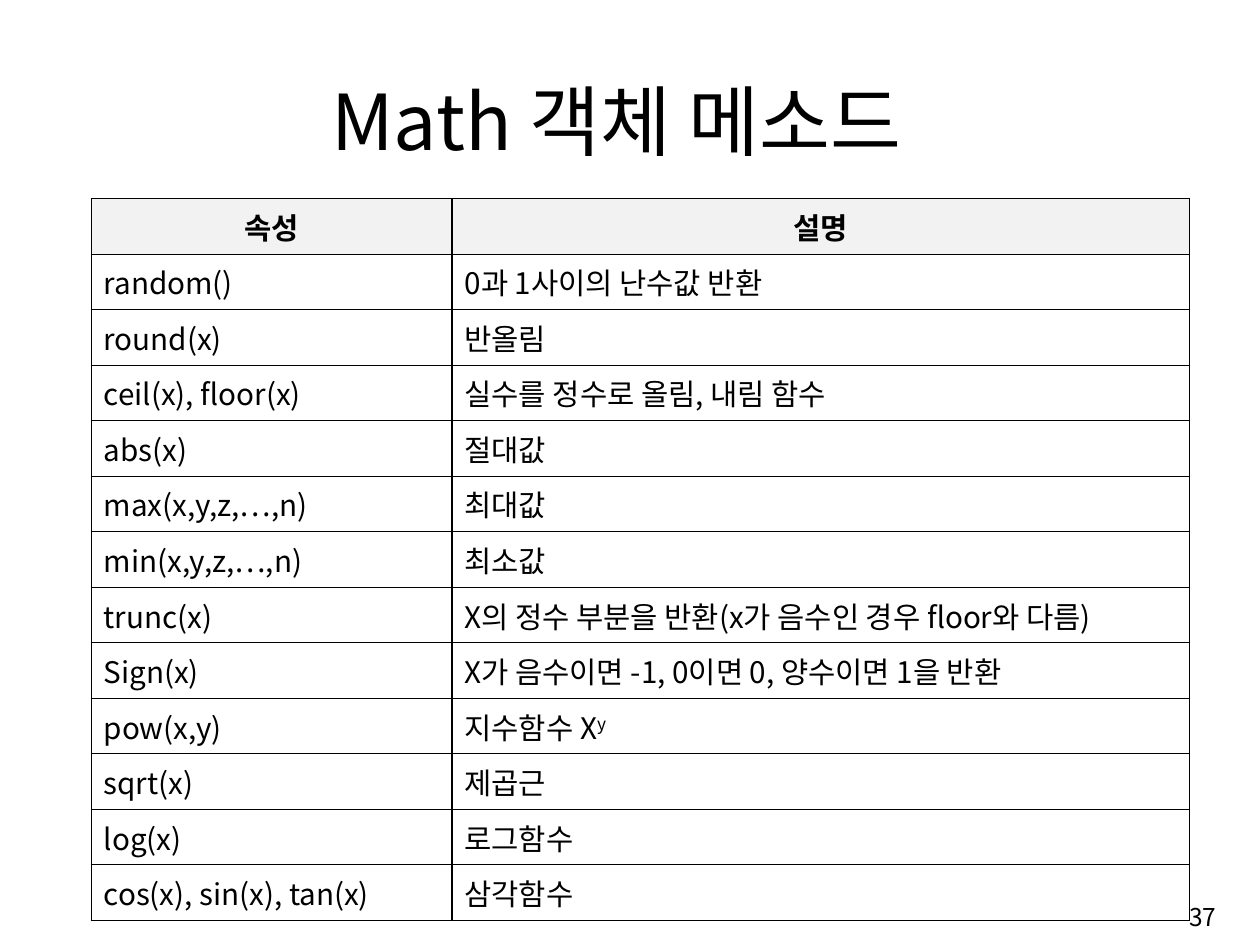
from dataclasses import dataclass

import lxml.etree
import pptx
import pptx.dml.color
import pptx.enum.text
import pptx.oxml
import pptx.oxml.ns
import pptx.util

Inches = pptx.util.Inches
Align = pptx.enum.text.PP_ALIGN
Anchor = pptx.enum.text.MSO_ANCHOR


@dataclass(frozen=True)
class Theme:
    font: str = "Noto Sans CJK KR"
    ink: str = "000000"
    header_fill: str = "F2F2F2"
    title_size: float = 57.2
    table_size: float = 22
    number_size: float = 18.2
    border: float = 1


@dataclass(frozen=True)
class Label:
    text: str
    left: float
    top: float
    width: float
    height: float
    size: float
    align: Align
    anchor: Anchor
    line_spacing: float = 1.0


@dataclass(frozen=True)
class Method:
    name: str
    description: str
    superscript: str = ""


THEME = Theme()

LABELS = [
    Label("Math 객체 메소드", 1.05, 0.64, 10.61, 1.08, THEME.title_size,
          Align.CENTER, Anchor.BOTTOM, 0.9),
    Label("37", 9.95, 9.15, 2.71, 0.6, THEME.number_size, Align.RIGHT, Anchor.MIDDLE),
]

HEADER = Method("속성", "설명")
METHODS = [
    Method("random()", "0과 1사이의 난수값 반환"),
    Method("round(x)", "반올림"),
    Method("ceil(x), floor(x)", "실수를 정수로 올림, 내림 함수"),
    Method("abs(x)", "절대값"),
    Method("max(x,y,z,…,n)", "최대값"),
    Method("min(x,y,z,…,n)", "최소값"),
    Method("trunc(x)", "X의 정수 부분을 반환(x가 음수인 경우 floor와 다름)"),
    Method("Sign(x)", "X가 음수이면 -1, 0이면 0, 양수이면 1을 반환"),
    Method("pow(x,y)", "지수함수 X", "y"),
    Method("sqrt(x)", "제곱근"),
    Method("log(x)", "로그함수"),
    Method("cos(x), sin(x), tan(x)", "삼각함수"),
]
COLUMN_WIDTHS = (3.72, 7.6)
TABLE_HEIGHT = 7.44


def style_paragraph(p, size: float, align: Align, bold: bool = False) -> None:
    p.alignment = align
    p.font.size = pptx.util.Pt(size)
    p.font.bold = bold
    p.font.color.rgb = pptx.dml.color.RGBColor.from_string(THEME.ink)
    p.font.name = THEME.font
    # Hangul takes the East Asian typeface
    ea = lxml.etree.SubElement(p.font._element, pptx.oxml.ns.qn("a:ea"))
    ea.set("typeface", THEME.font)


def add_label(slide, label: Label) -> None:
    box = slide.shapes.add_textbox(Inches(label.left), Inches(label.top),
                                   Inches(label.width), Inches(label.height))
    tf = box.text_frame
    tf.word_wrap = True
    tf.vertical_anchor = label.anchor
    tf.margin_top = tf.margin_bottom = 0
    tf.margin_left = tf.margin_right = Inches(0.12)
    p = tf.paragraphs[0]
    p.text = label.text
    p.line_spacing = label.line_spacing
    style_paragraph(p, label.size, label.align)


def add_borders(cell) -> None:
    tc_pr = cell._tc.get_or_add_tcPr()
    for position, side in enumerate(("lnL", "lnR", "lnT", "lnB")):
        tc_pr.insert(position, pptx.oxml.parse_xml(
            f'<a:{side} {pptx.oxml.ns.nsdecls("a")} w="{pptx.util.Pt(THEME.border)}">'
            f'<a:solidFill><a:srgbClr val="{THEME.ink}"/></a:solidFill></a:{side}>'))


def fill_cell(cell, text: str, is_header: bool, superscript: str = "") -> None:
    cell.vertical_anchor = Anchor.MIDDLE
    cell.margin_left = cell.margin_right = Inches(0.13)
    cell.margin_top = cell.margin_bottom = Inches(0.06)
    if is_header:
        cell.fill.solid()
        cell.fill.fore_color.rgb = pptx.dml.color.RGBColor.from_string(THEME.header_fill)
    else:
        cell.fill.background()
    p = cell.text_frame.paragraphs[0]
    p.text = text
    if superscript:
        r = p.add_run()
        r.text = superscript
        r.font._element.set("baseline", "30000")
    style_paragraph(p, THEME.table_size, Align.CENTER if is_header else Align.LEFT, is_header)
    add_borders(cell)


def add_method_table(slide, methods: list[Method]) -> None:
    rows = [HEADER, *methods]
    frame = slide.shapes.add_table(len(rows), len(COLUMN_WIDTHS), Inches(0.94), Inches(2.05),
                                   Inches(sum(COLUMN_WIDTHS)), Inches(TABLE_HEIGHT))
    table = frame.table
    table.first_row = table.horz_banding = False
    for column, width in zip(table.columns, COLUMN_WIDTHS):
        column.width = Inches(width)
    for i, method in enumerate(rows):
        table.rows[i].height = Inches(TABLE_HEIGHT / len(rows))
        fill_cell(table.cell(i, 0), method.name, i == 0)
        fill_cell(table.cell(i, 1), method.description, i == 0, method.superscript)


def main() -> None:
    prs = pptx.Presentation()
    prs.slide_width, prs.slide_height = Inches(12.99), Inches(9.74)
    slide = prs.slides.add_slide(prs.slide_layouts[6])

    # Title and page number
    for label in LABELS:
        add_label(slide, label)

    # Method table
    add_method_table(slide, METHODS)

    prs.save("out.pptx")


if __name__ == "__main__":
    main()
